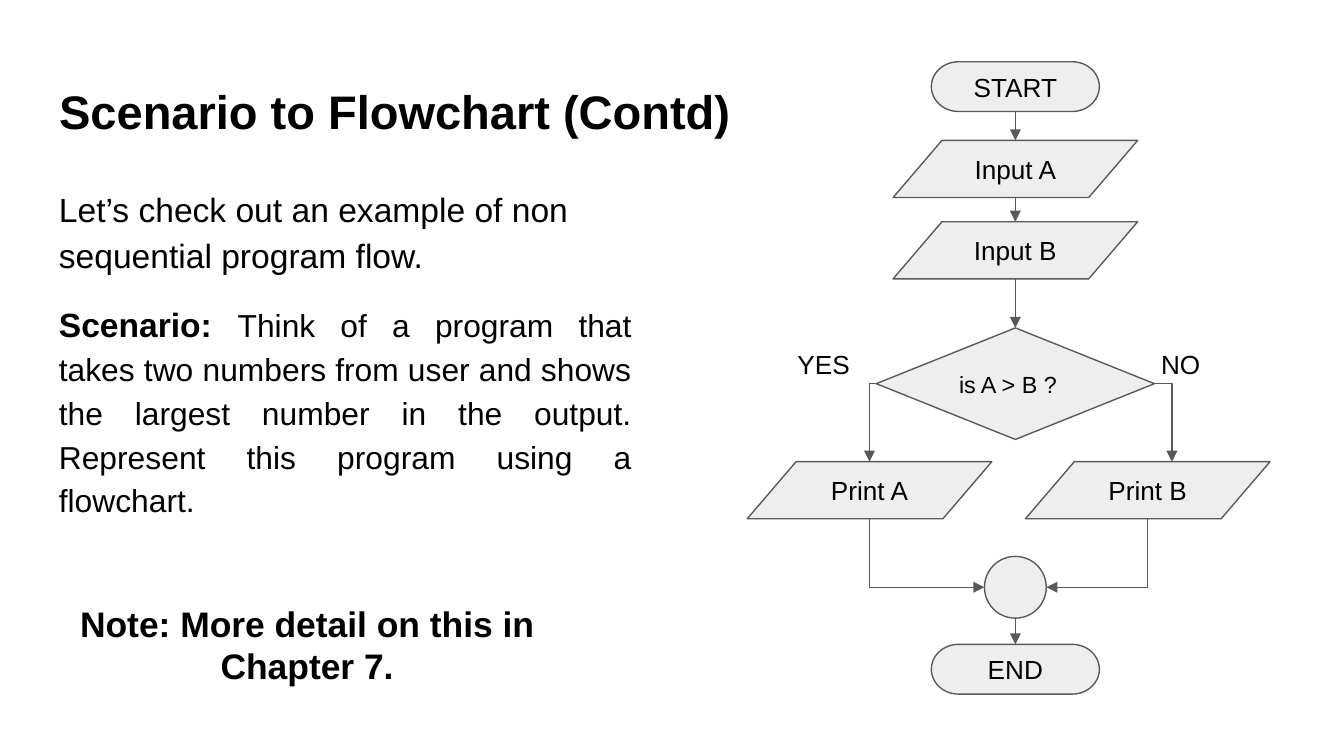
from lxml import etree
from pptx import Presentation
from pptx.dml.color import RGBColor
from pptx.enum.shapes import MSO_CONNECTOR as LINE, MSO_SHAPE as SHAPE
from pptx.enum.text import MSO_ANCHOR as ANCHOR, MSO_AUTO_SIZE as FIT, PP_ALIGN as ALIGN
from pptx.oxml.ns import qn
from pptx.util import Emu, Pt

SCALE = 4572
COLORS = {"back": "FFFFFF", "text": "000000", "fill": "EEEEEE", "line": "595959"}


def px(n):
    return Emu(round(n * SCALE))


def rgb(name):
    return RGBColor.from_string(COLORS[name])


def write(p, text, size=14, bold=False, align=ALIGN.LEFT):
    p.alignment = align
    r = p.add_run()
    r.text = text
    r.font.name = "Arial"
    r.font.size = Pt(size)
    r.font.bold = bold
    r.font.color.rgb = rgb("text")


class FlowSlide:
    def __init__(self, prs):
        self.s = prs.slides.add_slide(prs.slide_layouts[5])
        self.s.background.fill.solid()
        self.s.background.fill.fore_color.rgb = rgb("back")

    def frame(self, sp, anchor, fit=FIT.NONE):
        tf = sp.text_frame
        tf.word_wrap = True
        tf.auto_size = fit
        tf.vertical_anchor = anchor
        tf.margin_left = tf.margin_right = tf.margin_top = tf.margin_bottom = px(20)
        return tf

    def title(self, text, x, y, w, h, size):
        sp = self.s.shapes.title
        sp.left, sp.top, sp.width, sp.height = map(px, (x, y, w, h))
        write(self.frame(sp, ANCHOR.TOP).paragraphs[0], text, size=size, bold=True)

    def text(self, x, y, w, h, anchor=ANCHOR.TOP, fit=FIT.NONE):
        sp = self.s.shapes.add_textbox(*map(px, (x, y, w, h)))
        return self.frame(sp, anchor, fit)

    def label(self, text, x, y, w, h):
        tf = self.text(x, y, w, h, fit=FIT.SHAPE_TO_FIT_TEXT)
        write(tf.paragraphs[0], text)

    def node(self, kind, text, cx, y, w, h, size=14, align=ALIGN.CENTER):
        sp = self.s.shapes.add_shape(kind, px(cx - w / 2), px(y), px(w), px(h))
        sp.shadow.inherit = False
        sp.fill.solid()
        sp.fill.fore_color.rgb = rgb("fill")
        sp.line.color.rgb = rgb("line")
        sp.line.width = Pt(0.75)
        if text:
            tf = self.frame(sp, ANCHOR.MIDDLE)
            write(tf.paragraphs[0], text, size=size, align=align)
        return sp

    def arrow(self, x1, y1, x2, y2, kind=LINE.STRAIGHT):
        c = self.s.shapes.add_connector(kind, px(x1), px(y1), px(x2), px(y2))
        c.line.color.rgb = rgb("line")
        c.line.width = Pt(0.75)
        ln = c.line._get_or_add_ln()
        etree.SubElement(ln, qn("a:tailEnd"), type="triangle")
        etree.SubElement(c._element.spPr, qn("a:effectLst"))
        return c

    def elbow(self, x1, y1, x2, y2):
        c = self.arrow(x1, y1, x2, y2, LINE.ELBOW)
        c._element.spPr.find(qn("a:prstGeom")).set("prst", "bentConnector2")
        return c

    def drop_elbow(self, x1, y1, x2, y2):
        cx, cy = (x1 + x2) / 2, (y1 + y2) / 2
        side = -1 if x2 > x1 else 1
        dx, dy = side * (y2 - y1) / 2, abs(x2 - x1) / 2
        c = self.elbow(cx - dx, cy - dy, cx + dx, cy + dy)
        degrees = 90 if side > 0 else 270
        c._element.spPr.find(qn("a:xfrm")).set("rot", str(degrees * 60000))


def main():
    prs = Presentation()
    prs.slide_width, prs.slide_height = px(2000), px(1125)
    flow = FlowSlide(prs)

    flow.title("Scenario to Flowchart (Contd)", 68, 103, 1078, 126, 25.2)
    tf = flow.text(68, 252, 892, 548)
    p = tf.paragraphs[0]
    p.line_spacing = 1.15
    write(p, "Let’s check out an example of non sequential program flow.", size=18)
    p = tf.add_paragraph()
    p.line_spacing = 1.15
    p.space_before = p.space_after = Pt(12)
    write(p, "Scenario: ", size=18, bold=True, align=ALIGN.JUSTIFY)
    write(p, "Think of a program that takes two numbers from user and shows the largest "
          "number in the output. Represent this program using a flowchart.",
          size=17, align=ALIGN.JUSTIFY)

    mid, yes_x, no_x = 1511, 1294, 1708
    start = flow.node(SHAPE.FLOWCHART_TERMINATOR, "START", mid, 92, 250, 74)
    end = flow.node(SHAPE.FLOWCHART_TERMINATOR, "END", mid, 959, 250, 74)
    for text, cx, y in (("Input A", mid, 209), ("Input B", mid, 330),
                        ("Print A", yes_x, 687), ("Print B", no_x, 687)):
        flow.node(SHAPE.FLOWCHART_DATA, text, cx, y, 364, 85)
    decision = flow.node(SHAPE.FLOWCHART_DECISION, "is A > B ?", mid, 488, 414, 166,
                         size=12.5, align=ALIGN.LEFT)
    flow.node(SHAPE.FLOWCHART_CONNECTOR, "", mid, 828, 92, 92)

    flow.arrow(mid, 166, mid, 209).begin_connect(start, 2)
    flow.arrow(mid, 294, mid, 330)
    flow.arrow(mid, 415, mid, 488).end_connect(decision, 0)
    flow.arrow(mid, 920, mid, 959).end_connect(end, 0)
    flow.elbow(1304, 571, yes_x, 687)
    flow.elbow(1718, 571, 1744, 687)
    flow.drop_elbow(yes_x, 772, 1465, 874)
    flow.drop_elbow(no_x, 772, 1557, 874)

    flow.label("YES", 1167, 498, 162, 88)
    flow.label("NO", 1708, 498, 110, 88)
    note = flow.text(68, 875, 778, 168, anchor=ANCHOR.MIDDLE)
    write(note.paragraphs[0], "Note: More detail on this in Chapter 7.",
          size=19, bold=True, align=ALIGN.CENTER)

    prs.save("out.pptx")


if __name__ == "__main__":
    main()
